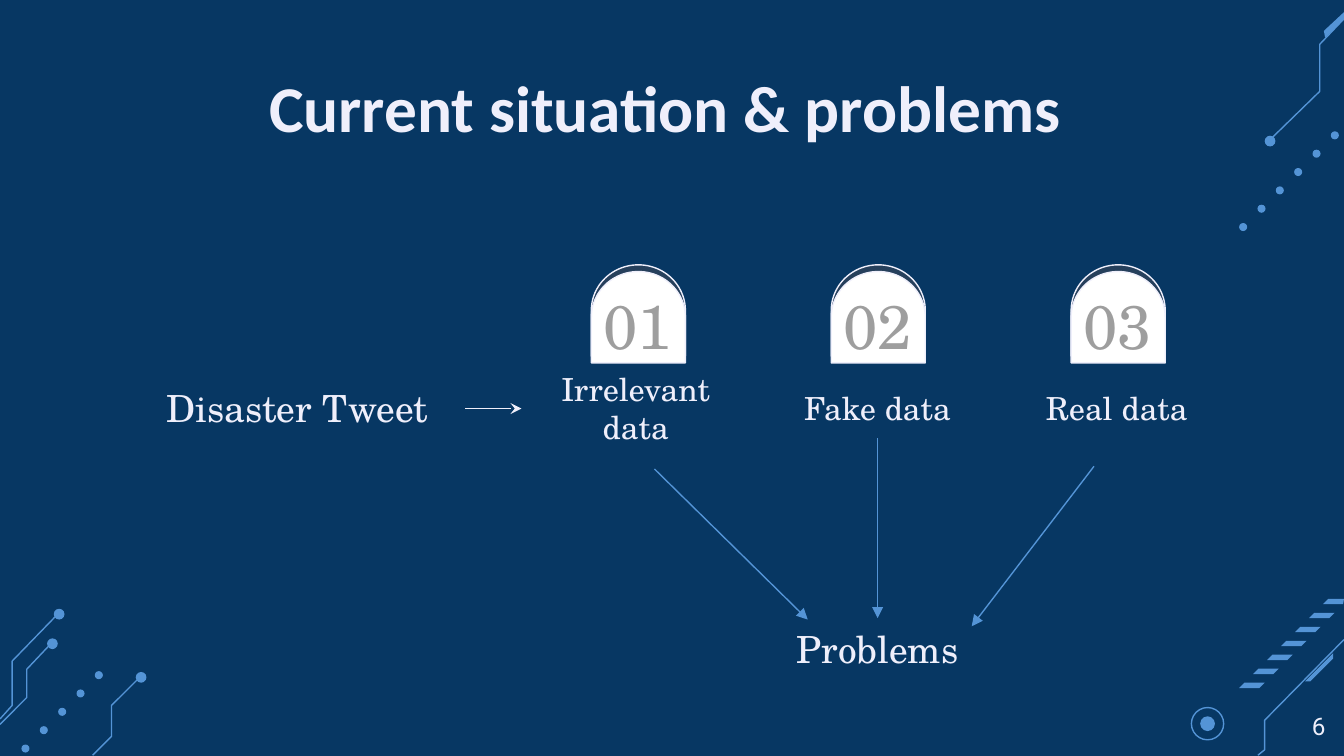
"""Build the slide about the current situation and problems of disaster tweets."""
from lxml import etree
from pptx import Presentation
from pptx.dml.color import RGBColor
from pptx.enum.shapes import MSO_CONNECTOR, MSO_SHAPE
from pptx.enum.text import MSO_ANCHOR, PP_ALIGN
from pptx.oxml.ns import qn
from pptx.util import Pt

PX = 9144
WIDTH, HEIGHT = 1000, 562.5
OVAL, DELAY = MSO_SHAPE.OVAL, MSO_SHAPE.FLOWCHART_DELAY
STRAIGHT, ELBOW = MSO_CONNECTOR.STRAIGHT, MSO_CONNECTOR.ELBOW
TOP, MIDDLE = MSO_ANCHOR.TOP, MSO_ANCHOR.MIDDLE
CENTER, RIGHT = PP_ALIGN.CENTER, PP_ALIGN.RIGHT

NAVY, BLUE, PALE, SHADE, WHITE, GRAY = "073763", "5494D6", "EFEFFB", "26405C", "FFFFFF", "9E9E9E"
SERIF = "TeX Gyre Schola"
THIN = 0.75

FORMATS = {
    "title": {"name": "Calibri", "size": Pt(35), "bold": True, "color": PALE},
    "main": {"name": SERIF, "size": Pt(20), "color": PALE},
    "label": {"name": SERIF, "size": Pt(17), "color": PALE},
    "number": {"name": SERIF, "size": Pt(33), "color": GRAY},
    "page": {"name": "Roboto", "size": Pt(13), "color": PALE},
}

TEXTS = [
    ("Current situation & problems ", (79, 40, 843, 71), "title", TOP, CENTER),
    ("Disaster Tweet", (79, 281, 284, 45), "main", MIDDLE, CENTER),
    ("Problems", (511, 460, 284, 45), "main", MIDDLE, CENTER),
    ("6", (936, 519, 60, 43), "page", TOP, RIGHT),
]
CATEGORIES = [("Irrelevant data", 473, 178), ("Fake data", 653, 140), ("Real data", 831, 140)]
BADGE_LEFT, BADGE_STEP, BADGE_WIDTH, BADGE_HEIGHT = 440, 178.5, 70, 68
BADGE_LAYERS = [(SHADE, 197), (WHITE, 202)]
ARROWS = [
    (ELBOW, (346, 304), (388, 304), PALE, "stealth"),
    (STRAIGHT, (487, 349), (601, 461), BLUE, "triangle"),
    (STRAIGHT, (653, 326), (653, 460), BLUE, "triangle"),
    (STRAIGHT, (814, 347), (723, 466), BLUE, "triangle"),
]

TRACES = [
    [(1000, 476), (941, 536), (941, 558), (936, 562)],
    [(102, 506), (83, 525), (83, 548), (69, 562)],
    [(41, 459), (9, 492), (9, 525), (0, 535)],
    [(36, 481), (20, 498), (20, 519), (0, 539)],
    [(947, 102), (982, 68), (982, 33), (1000, 14)],
]
TRACE_BARS = [
    [(971, 507), (975, 507), (992, 490), (992, 486)],
    [(985, 23), (1000, 9), (1000, 14), (986, 28)],
]
TRACE_ENDS = [(105, 504), (44, 457), (39, 479), (945, 105)]
DOT_ROWS = [((925, 169), 6), ((19, 557), 5)]
DOT_STEP = 13.65
STRIPE_START, STRIPE_STEP, STRIPE_COUNT = (922, 508), 10.4, 7
STRIPE = [(4, 0), (0, 4), (15, 4), (19, 0)]
RING_CENTER = (898.5, 538.5)


def emu(length):
    return round(length * PX)


def color(value):
    return RGBColor.from_string(value)


def style(shape, fill=None, line=None):
    shape.shadow.inherit = False
    for part, value in ((shape.fill, fill), (shape.line.fill, line)):
        if value:
            part.solid()
            part.fore_color.rgb = color(value)
        else:
            part.background()
    if line:
        shape.line.width = Pt(THIN)


def add_path(slide, points, closed):
    points = [(emu(x), emu(y)) for x, y in points]
    builder = slide.shapes.build_freeform(*points[0], scale=1.0)
    builder.add_line_segments(points[1:], close=closed)
    style(builder.convert_to_shape(), *((BLUE, None) if closed else (None, BLUE)))


def add_preset(slide, kind, center, width, height, fill=None, line=None):
    left, top = center[0] - width / 2, center[1] - height / 2
    shape = slide.shapes.add_shape(kind, *map(emu, (left, top, width, height)))
    style(shape, fill, line)
    return shape


def add_text(slide, text, box, kind, anchor=MIDDLE, alignment=CENTER):
    frame = slide.shapes.add_textbox(*map(emu, box)).text_frame
    margins = {f"margin_{side}": emu(10) for side in ("left", "top", "right", "bottom")}
    for name, value in {"word_wrap": True, "vertical_anchor": anchor, **margins}.items():
        setattr(frame, name, value)
    paragraph = frame.paragraphs[0]
    paragraph.alignment = alignment
    run = paragraph.add_run()
    run.text = text
    for name, value in FORMATS[kind].items():
        if name == "color":
            run.font.color.rgb = color(value)
        else:
            setattr(run.font, name, value)


def add_arrow(slide, kind, start, end, line_color, head):
    connector = slide.shapes.add_connector(kind, *map(emu, start + end))
    connector.line.color.rgb = color(line_color)
    connector.line.width = Pt(THIN)
    etree.SubElement(connector.line._get_or_add_ln(), qn("a:tailEnd"), type=head)
    etree.SubElement(connector._element.spPr, qn("a:effectLst"))


def add_circuits(slide):
    for trace in TRACES:
        add_path(slide, trace, False)
    for bar in TRACE_BARS:
        add_path(slide, bar, True)
    for center in TRACE_ENDS:
        add_preset(slide, OVAL, center, 8, 8, BLUE)
    for (x, y), count in DOT_ROWS:
        for index in range(count):
            shift = index * DOT_STEP
            add_preset(slide, OVAL, (x + shift, y - shift), 6, 6, BLUE)
    for index in range(STRIPE_COUNT):
        shift = index * STRIPE_STEP
        left, top = STRIPE_START[0] + shift, STRIPE_START[1] - shift
        add_path(slide, [(min(left + x, WIDTH), top + y) for x, y in STRIPE], True)
    add_preset(slide, OVAL, RING_CENTER, 24, 24, line=BLUE)
    add_preset(slide, OVAL, RING_CENTER, 11, 11, BLUE)


def add_categories(slide):
    for index, (label, center, width) in enumerate(CATEGORIES):
        middle = BADGE_LEFT + index * BADGE_STEP + BADGE_WIDTH / 2
        for fill, top in BADGE_LAYERS:
            badge = add_preset(slide, DELAY, (middle, top + BADGE_HEIGHT / 2),
                               BADGE_HEIGHT, BADGE_WIDTH, fill, PALE)
            badge.rotation = 270
        add_text(slide, f"{index + 1:02}", (middle - 42, 216, 83, 51), "number")
        add_text(slide, label, (center - width / 2, 281, width, 45), "label")


def main():
    presentation = Presentation()
    presentation.slide_width, presentation.slide_height = emu(WIDTH), emu(HEIGHT)
    slide = presentation.slides.add_slide(presentation.slide_layouts[6])
    background = slide.background.fill
    background.solid()
    background.fore_color.rgb = color(NAVY)
    add_circuits(slide)
    add_categories(slide)
    for text in TEXTS:
        add_text(slide, *text)
    for arrow in ARROWS:
        add_arrow(slide, *arrow)
    presentation.save("out.pptx")


if __name__ == "__main__":
    main()
